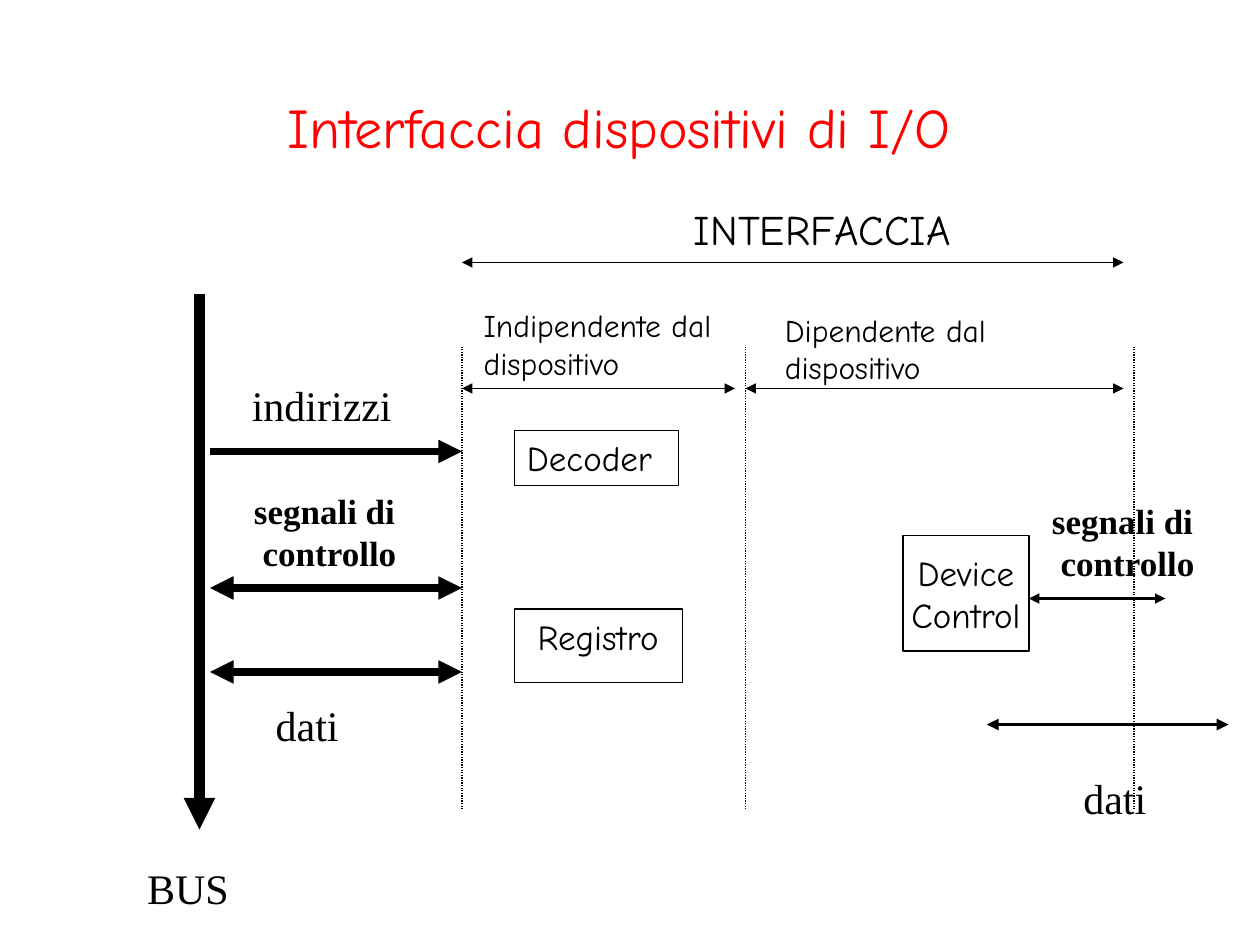
from dataclasses import dataclass

from lxml.etree import SubElement
from pptx import Presentation
from pptx.dml.color import RGBColor
from pptx.enum.dml import MSO_LINE
from pptx.enum.shapes import MSO_CONNECTOR, MSO_SHAPE
from pptx.enum.text import MSO_ANCHOR, MSO_AUTO_SIZE, PP_ALIGN
from pptx.oxml.ns import qn
from pptx.shapes.base import BaseShape
from pptx.slide import Slide
from pptx.util import Pt

COLORS = {"title": "FF0000", "ink": "000000"}
COMIC = "Comic Neue"
TIMES = "Times New Roman"


@dataclass
class Label:
    text: str
    left: float
    top: float
    width: float
    height: float
    size: float = 24
    font: str = TIMES
    bold: bool = False
    wrap: bool = False


@dataclass
class Box:
    label: Label
    anchor: MSO_ANCHOR = MSO_ANCHOR.TOP
    align: PP_ALIGN = PP_ALIGN.LEFT
    inset: float = 7.2


@dataclass
class Line:
    start: tuple[float, float]
    end: tuple[float, float]
    width: float = 0.75
    head: bool = True
    tail: bool = True
    dotted: bool = False


# Horizontal limits of the diagram and its dividers
BUS_X, BUS_EDGE = 114, 120
LEFT, MIDDLE, RIGHT = 264, 426, 648
SPAN_END = 642
SPAN_Y = 222

LINES = [
    # Dotted dividers
    *(Line((x, 198), (x, 462), head=False, tail=False, dotted=True)
      for x in (LEFT, MIDDLE, RIGHT)),
    # Spans of the interface and its two parts
    Line((LEFT, 150), (SPAN_END, 150)),
    Line((LEFT, SPAN_Y), (420, SPAN_Y)),
    Line((MIDDLE, SPAN_Y), (SPAN_END, SPAN_Y)),
    # Bus and its signals
    Line((BUS_X, 168), (BUS_X, 474), 6, head=False),
    Line((BUS_EDGE, 258), (LEFT, 258), 4.5, head=False),
    Line((BUS_EDGE, 336), (LEFT, 336), 4.5),
    Line((BUS_EDGE, 384), (LEFT, 384), 4.5),
    # Device signals
    Line((588, 342), (666, 342), 1.5),
    Line((564, 414), (702, 414), 2.25),
]

BOXES = [
    Box(Label("Decoder", 294, 246, 93.6, 31.5, 20, COMIC, wrap=True)),
    Box(Label("Registro", 294, 348, 96, 42, 20, COMIC, wrap=True), inset=13.2),
    Box(Label("Device\nControl", 516, 306, 72, 66, 20, COMIC),
        MSO_ANCHOR.MIDDLE, PP_ALIGN.CENTER),
]

LABELS = [
    Label("INTERFACCIA", 389.5, 113, 161.3, 36, 24, COMIC),
    Label("Indipendente dal\ndispositivo", 269.3, 171.4, 151.2, 50.4, 18, COMIC),
    Label("Dipendente dal\ndispositivo", 441.4, 174, 135.4, 50.4, 18, COMIC),
    Label("BUS", 77, 489.6, 61.2, 36),
    Label("indirizzi", 136.8, 213.1, 94.3, 36),
    Label("dati", 150.5, 396, 50.4, 36),
    Label("dati", 612, 438, 50.4, 36),
    *(Label("segnali di\n controllo", left, top, 107.3, 55.4, 20, bold=True, wrap=True)
      for left, top in ((138, 276), (594, 282))),
]


def color(name: str) -> RGBColor:
    return RGBColor.from_string(COLORS[name])


def place(shape: BaseShape, left: float, top: float, width: float, height: float) -> None:
    shape.left, shape.top = Pt(left), Pt(top)
    shape.width, shape.height = Pt(width), Pt(height)


def write(shape: BaseShape, label: Label, align: PP_ALIGN = PP_ALIGN.LEFT,
          ink: str = "ink") -> None:
    frame = shape.text_frame
    frame.text = label.text
    frame.word_wrap = label.wrap
    frame.auto_size = MSO_AUTO_SIZE.NONE
    for paragraph in frame.paragraphs:
        paragraph.alignment = align
        for run in paragraph.runs:
            run.font.name = label.font
            run.font.size = Pt(label.size)
            run.font.bold = label.bold
            run.font.color.rgb = color(ink)


def draw_title(slide: Slide, label: Label) -> None:
    title = slide.shapes.title
    place(title, label.left, label.top, label.width, label.height)
    write(title, label, PP_ALIGN.CENTER, "title")
    title.text_frame.vertical_anchor = MSO_ANCHOR.MIDDLE


def draw_line(slide: Slide, line: Line) -> None:
    points = [Pt(value) for value in (*line.start, *line.end)]
    connector = slide.shapes.add_connector(MSO_CONNECTOR.STRAIGHT, *points)
    connector.line.color.rgb = color("ink")
    connector.line.width = Pt(line.width)
    if line.dotted:
        connector.line.dash_style = MSO_LINE.ROUND_DOT
    outline = connector.line._get_or_add_ln()
    for tag, shown in (("a:headEnd", line.head), ("a:tailEnd", line.tail)):
        if shown:
            SubElement(outline, qn(tag), type="triangle")
    SubElement(connector._element.spPr, qn("a:effectLst"))


def draw_box(slide: Slide, box: Box) -> None:
    label = box.label
    shape = slide.shapes.add_shape(MSO_SHAPE.RECTANGLE, 0, 0, 0, 0)
    place(shape, label.left, label.top, label.width, label.height)
    shape.shadow.inherit = False
    shape.fill.background()
    shape.line.color.rgb = color("ink")
    shape.line.width = Pt(0.75)
    write(shape, label, box.align)
    shape.text_frame.vertical_anchor = box.anchor
    shape.text_frame.margin_left = Pt(box.inset)


def draw_label(slide: Slide, label: Label) -> None:
    text_box = slide.shapes.add_textbox(0, 0, 0, 0)
    place(text_box, label.left, label.top, label.width, label.height)
    write(text_box, label)


def main() -> None:
    presentation = Presentation()
    presentation.slide_width, presentation.slide_height = Pt(720), Pt(540)
    slide = presentation.slides.add_slide(presentation.slide_layouts[5])
    draw_title(slide, Label("Interfaccia dispositivi di I/O", 48, 42, 612, 60,
                            32, COMIC, wrap=True))
    for line in LINES:
        draw_line(slide, line)
    for box in BOXES:
        draw_box(slide, box)
    for label in LABELS:
        draw_label(slide, label)
    presentation.save("out.pptx")


if __name__ == "__main__":
    main()
